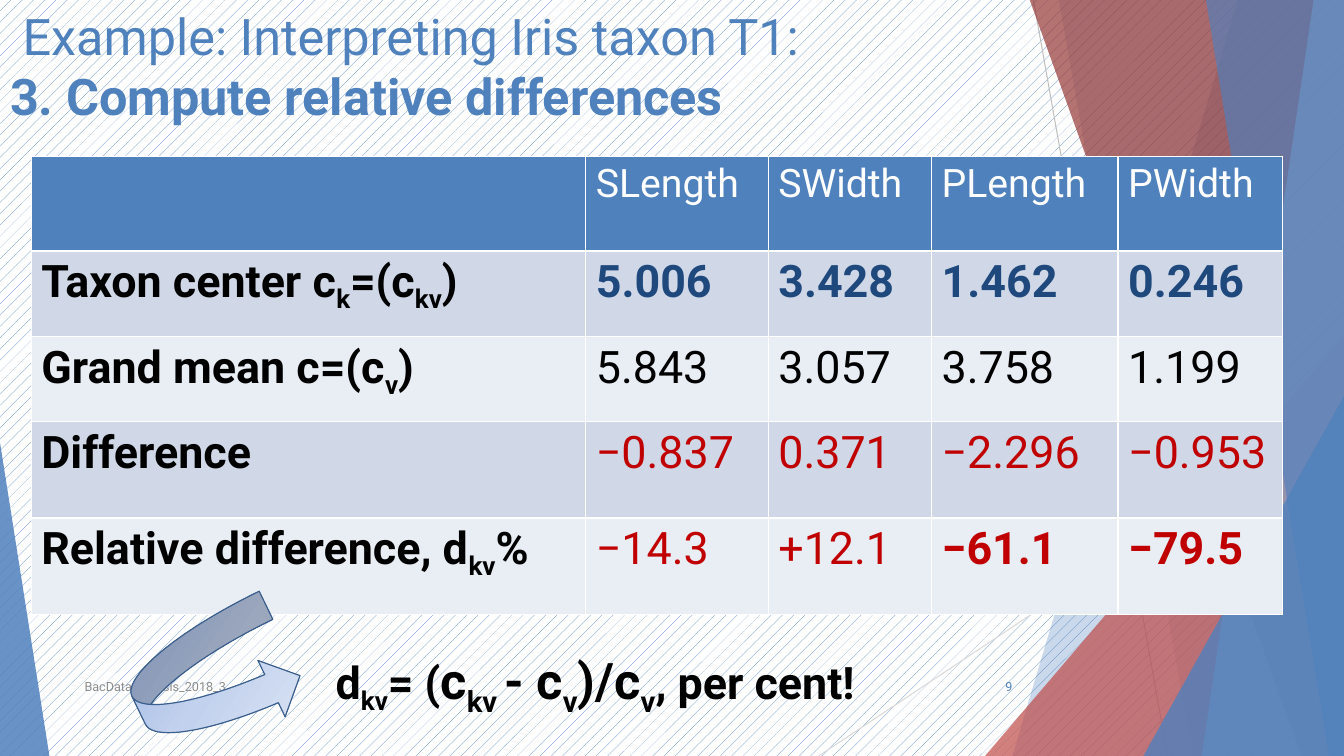
from lxml import etree
from pptx import Presentation
from pptx import util as u
from pptx.dml.color import RGBColor
from pptx.enum import dml, shapes, text
from pptx.oxml.ns import qn

BLUE = RGBColor(0x4F, 0x81, 0xBD)
NAVY = RGBColor(0x1F, 0x49, 0x7D)
SKY = RGBColor(0x95, 0xB3, 0xD7)
RED = RGBColor(0xC0, 0x50, 0x4D)
MAROON = RGBColor(0x95, 0x37, 0x35)
CRIMSON = RGBColor(0xC0, 0x00, 0x00)
EDGE = RGBColor(0x3A, 0x5F, 0x8C)
GREY = RGBColor(0x8C, 0x8C, 0x8C)
SILVER = RGBColor(0xBF, 0xBF, 0xBF)
PALE = RGBColor(0xD9, 0xD9, 0xD9)
BAND_DARK = RGBColor(0xD0, 0xD8, 0xE8)
BAND_LIGHT = RGBColor(0xE9, 0xED, 0xF4)
BLACK = RGBColor(0, 0, 0)
WHITE = RGBColor(255, 255, 255)
ARROW_STOPS = [(0, "9AB5E4"), (50, "C2D1ED"), (100, "E1E8F5")]


def child(parent, tag, **values):
    return etree.SubElement(parent, qn(tag), {k: str(v) for k, v in values.items()})


class Slide:
    font = "Roboto"

    def __init__(self, deck):
        self.page = deck.slides.add_slide(deck.slide_layouts[5])
        self.shapes = self.page.shapes

    def background(self):
        fill = self.page.background.fill
        fill.patterned()
        fill.pattern = dml.MSO_PATTERN.PERCENT_10
        fill.fore_color.rgb, fill.back_color.rgb = BLUE, WHITE

    def add_spans(self, para, content, color=BLACK, **values):
        for index, part in enumerate(content.split("|")):
            if not part:
                continue
            span = para.add_run()
            span.text = part
            for name, value in {"name": self.font, **values}.items():
                setattr(span.font, name, value)
            span.font.color.rgb = color
            if index % 2:
                span.font._element.set("baseline", "-25000")

    def frame(self, box, **values):
        for name, value in values.items():
            setattr(box.text_frame, name, value)
        return box.text_frame.paragraphs[0]

    def title(self, first, second):
        box = self.shapes.title
        self.shapes._spTree.append(box._element)
        box.left, box.top = u.Inches(0), u.Inches(0)
        box.width, box.height = u.Inches(12.14), u.Inches(2.22)
        para = self.frame(box, word_wrap=True, auto_size=text.MSO_AUTO_SIZE.NONE,
                          vertical_anchor=text.MSO_ANCHOR.TOP)
        para.alignment = text.PP_ALIGN.LEFT
        self.add_spans(para, first, BLUE, size=u.Pt(36), bold=False)
        para.add_line_break()
        self.add_spans(para, second, BLUE, size=u.Pt(36), bold=True)

    def label(self, place, align=text.PP_ALIGN.LEFT, **values):
        box = self.shapes.add_textbox(*map(u.Inches, place))
        para = self.frame(box, word_wrap=True, **values)
        para.alignment = align
        return para

    def line(self, start, end, color):
        rule = self.shapes.add_connector(shapes.MSO_CONNECTOR.STRAIGHT,
                                         *map(u.Inches, start + end))
        rule.line.color.rgb = color
        rule.line.width = u.Pt(0.75)
        child(rule._element.spPr, "a:effectLst")

    def tint(self, shape, color, percent):
        shape.shadow.inherit = False
        shape.fill.solid()
        shape.fill.fore_color.rgb = color
        shade = shape._element.spPr.find(".//" + qn("a:srgbClr"))
        child(shade, "a:alpha", val=percent * 1000)
        shape.line.fill.background()

    def ribbon(self, top, bottom, color, percent):
        builder = self.shapes.build_freeform(u.Inches(top), u.Inches(-0.01))
        corners = [(13.33, -0.01), (13.33, 7.5), (bottom, 7.5)]
        builder.add_line_segments([tuple(map(u.Inches, c)) for c in corners], close=True)
        self.tint(builder.convert_to_shape(), color, percent)

    def triangle(self, place, apex, color, percent):
        shape = self.shapes.add_shape(shapes.MSO_SHAPE.ISOSCELES_TRIANGLE,
                                      *map(u.Inches, place))
        shape.adjustments[0] = apex
        self.tint(shape, color, percent)

    def arrow(self, place, rotation):
        shape = self.shapes.add_shape(shapes.MSO_SHAPE.CURVED_RIGHT_ARROW,
                                      *map(u.Inches, place))
        shape.shadow.inherit = False
        shape.rotation = rotation
        shape.line.color.rgb = EDGE
        shape.line.width = u.Pt(0.85)
        shape.fill.gradient()
        gradient = shape._element.spPr.find(qn("a:gradFill"))
        for old in list(gradient):
            gradient.remove(old)
        stops = child(gradient, "a:gsLst")
        for position, color in ARROW_STOPS:
            stop = child(stops, "a:gs", pos=position * 1000)
            child(stop, "a:srgbClr", val=color)
        child(gradient, "a:lin", ang=60 * 60000, scaled=0)

    def cell(self, cell, content, fill, **values):
        self.add_spans(cell.text_frame.paragraphs[0], content, **values)
        properties = cell._tc.get_or_add_tcPr()
        for side in "LRTB":
            border = child(properties, "a:ln" + side, w=u.Pt(1))
            child(child(border, "a:solidFill"), "a:srgbClr", val=WHITE)
        cell.fill.solid()
        cell.fill.fore_color.rgb = fill

    def table(self, place, widths, heights, rows):
        grid = self.shapes.add_table(len(rows), len(widths), *map(u.Inches, place)).table
        for column, width in zip(grid.columns, widths):
            column.width = u.Inches(width)
        for row, height in zip(grid.rows, heights):
            row.height = u.Inches(height)
        for r, (contents, color, bold_columns) in enumerate(rows):
            fill = (BAND_DARK if r % 2 else BAND_LIGHT) if r else BLUE
            for c, content in enumerate(contents):
                self.cell(grid.cell(r, c), content, fill,
                          color=color if c or not r else BLACK,
                          size=u.Pt(32 if r else 28), bold=c in bold_columns)


def main():
    deck = Presentation()
    deck.slide_width, deck.slide_height = u.Inches(13.33), u.Inches(7.5)
    slide = Slide(deck)
    slide.background()

    slide.line((10.25, 0), (11.58, 7.5), SILVER)
    slide.line((13.33, 4.03), (8.12, 7.5), PALE)
    slide.ribbon(12.28, 10.04, BLUE, 30)
    slide.ribbon(10.5, 11.83, BLUE, 20)
    slide.triangle((9.77, 3.33, 3.56, 4.17), 1, RED, 72)
    slide.ribbon(10.21, 12.91, MAROON, 70)
    slide.ribbon(13.03, 11.92, SKY, 70)
    slide.ribbon(11.96, 13.18, BLUE, 65)
    slide.triangle((11.34, 3.93, 1.99, 3.57), 1, BLUE, 80)
    slide.triangle((0, 4.39, 0.49, 3.11), 0, BLUE, 85)

    slide.title(" Example: Interpreting Iris taxon T1: ", "3. Compute relative differences")

    middle = text.MSO_ANCHOR.MIDDLE
    footer = slide.label((0.74, 6.61, 6.89, 0.4), vertical_anchor=middle)
    slide.add_spans(footer, "BacDataAnalysis_2018_3", GREY, size=u.Pt(9))
    number = slide.label((9.39, 6.61, 0.75, 0.4), text.PP_ALIGN.RIGHT, vertical_anchor=middle)
    slide.add_spans(number, "9", BLUE, size=u.Pt(9))

    rows = [
        (["", "SLength", "SWidth", "PLength", "PWidth"], WHITE, ()),
        (["Taxon center c|k|=(c|kv|)", "5.006", "3.428", "1.462", "0.246"], NAVY, range(5)),
        (["Grand mean c=(c|v|)", "5.843", "3.057", "3.758", "1.199"], BLACK, (0,)),
        (["Difference", "−0.837", "0.371", "−2.296", "−0.953"], CRIMSON, (0,)),
        (["Relative difference, d|kv|%", "−14.3", "+12.1", "−61.1", "−79.5"],
         CRIMSON, (0, 3, 4)),
    ]
    slide.table((0.31, 1.55, 12.42, 4.54), [5.5, 1.81, 1.62, 1.85, 1.63],
                [0.94, 0.85, 0.84, 0.96, 0.96], rows)

    formula = slide.label((2.9, 6.39, 7.24, 0.71), margin_left=u.Inches(0.43))
    for content, size in [("d|kv|= (", 32), ("c|kv |- c|v|)/c|v|", 36), (", per cent!", 32)]:
        slide.add_spans(formula, content, size=u.Pt(size), bold=True)
    slide.arrow((1.33, 6.15, 1.59, 1.24), 334.2)

    deck.save("out.pptx")


if __name__ == "__main__":
    main()
